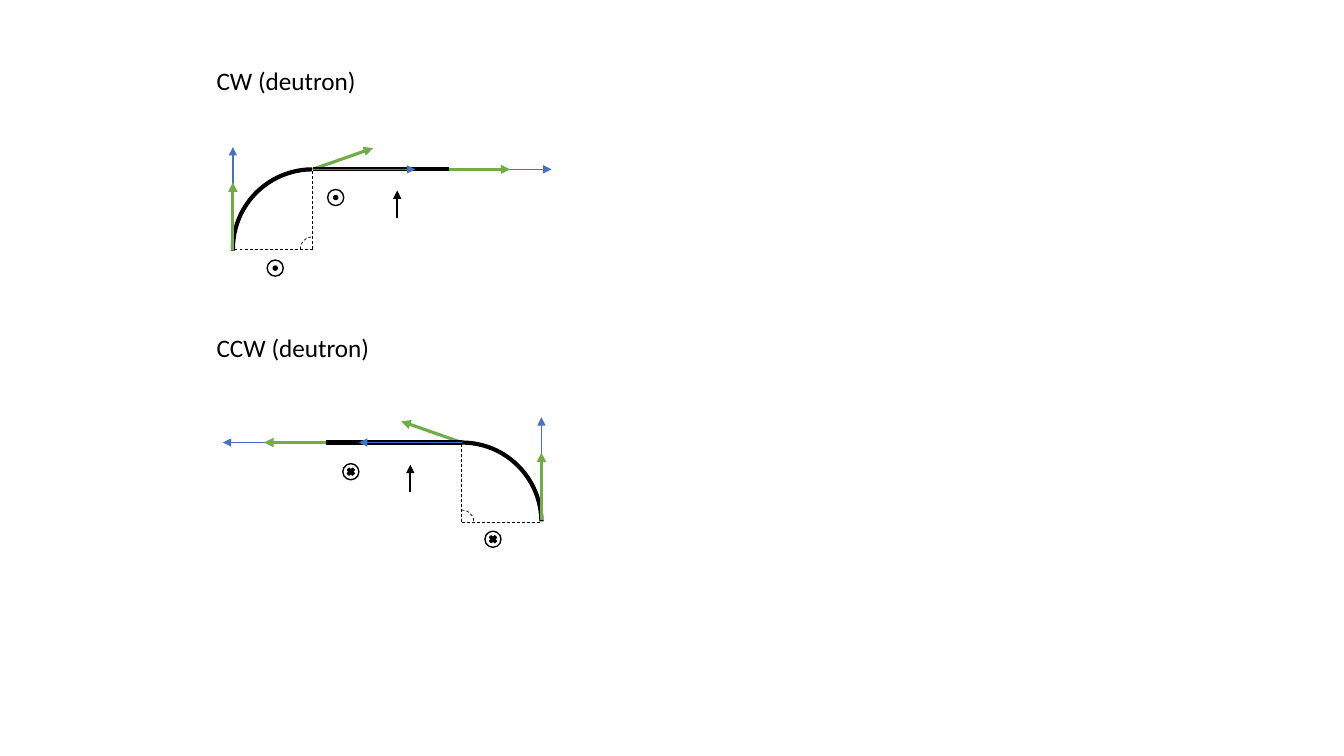
from dataclasses import dataclass

from lxml import etree
from pptx import Presentation
from pptx.dml.color import RGBColor
from pptx.enum.dml import MSO_LINE
from pptx.enum.shapes import MSO_CONNECTOR, MSO_SHAPE
from pptx.enum.text import MSO_AUTO_SIZE
from pptx.oxml.ns import qn
from pptx.util import Inches, Pt

STRAIGHT = MSO_CONNECTOR.STRAIGHT
ARC, OVAL, CROSS = MSO_SHAPE.ARC, MSO_SHAPE.OVAL, MSO_SHAPE.MATH_MULTIPLY
DASH = MSO_LINE.DASH
FIT_TEXT = MSO_AUTO_SIZE.SHAPE_TO_FIT_TEXT


@dataclass(frozen=True)
class Theme:
    black: RGBColor = RGBColor(0x00, 0x00, 0x00)
    white: RGBColor = RGBColor(0xFF, 0xFF, 0xFF)
    momentum: RGBColor = RGBColor(0x44, 0x72, 0xC4)
    spin: RGBColor = RGBColor(0x70, 0xAD, 0x47)
    font: str = "Calibri"
    label_size: float = 18
    track: float = 3
    spin_width: float = 2.25
    field_width: float = 1.5
    thin: float = 1
    guide: float = 0.5


THEME = Theme()


@dataclass(frozen=True)
class Beam:
    """Lengths in inches; points run along the beam and down from the bend exit."""
    label: str
    label_width: float
    exit_at: tuple          # bend exit, measured from the box corner
    direction: int          # 1 runs right, -1 runs left
    arrow_base: float       # depth of the arrows at the bend entry
    bend_field: tuple
    straight_field: tuple
    electric_field: tuple
    field_mark: int
    mark_size: float


CLOCKWISE = Beam("CW (deutron)", 1.6, (1.05, 1.08), 1, 0.8,
                 (-0.37, 0.98), (0.23, 0.28), (0.84, 0.48), OVAL, 0.04)
COUNTERCLOCKWISE = Beam("CCW (deutron)", 1.74, (2.53, 1.14), -1, 0.77,
                        (-0.31, 0.96), (1.1, 0.29), (0.51, 0.49), CROSS, 0.1)


def add_line(slide, start, end, color, width, arrow=False, dashed=False):
    line = slide.shapes.add_connector(
        STRAIGHT, *(Inches(value) for value in (*start, *end)))
    line.line.color.rgb = color
    line.line.width = Pt(width)
    if dashed:
        line.line.dash_style = DASH
    if arrow:
        etree.SubElement(line.line._get_or_add_ln(), qn("a:tailEnd"), type="triangle")
    etree.SubElement(line._element.spPr, qn("a:effectLst"))


def add_centred(slide, kind, center, size, width, fill=None):
    shape = slide.shapes.add_shape(
        kind, Inches(center[0] - size / 2), Inches(center[1] - size / 2),
        Inches(size), Inches(size))
    shape.shadow.inherit = False
    if fill is None:
        shape.fill.background()
    else:
        shape.fill.solid()
        shape.fill.fore_color.rgb = fill
    shape.line.color.rgb = THEME.black
    shape.line.width = Pt(width)
    return shape


def add_quarter_arc(slide, center, size, width, direction):
    arc = add_centred(slide, ARC, center, size, width)
    arc.adjustments[0], arc.adjustments[1] = 107.32, 161.69
    if direction < 0:
        arc.rotation = 90
    return arc


def add_field_symbol(slide, center, beam):
    add_centred(slide, OVAL, center, 0.16, THEME.thin, THEME.white)
    add_centred(slide, beam.field_mark, center, beam.mark_size, THEME.thin, THEME.black)


def add_label(slide, left, top, beam):
    box = slide.shapes.add_textbox(
        Inches(left), Inches(top), Inches(beam.label_width), Inches(0.4))
    box.text_frame.word_wrap = False
    box.text_frame.auto_size = FIT_TEXT
    paragraph = box.text_frame.paragraphs[0]
    paragraph.text = beam.label
    paragraph.font.name = THEME.font
    paragraph.font.size = Pt(THEME.label_size)
    paragraph.font.color.rgb = THEME.black


def draw_beam(slide, left, top, beam):
    radius, straight = 0.79, 1.35
    momentum_length, spin_length = 1.02, 0.61

    def at(along, down):
        return (left + beam.exit_at[0] + beam.direction * along,
                top + beam.exit_at[1] + down)

    def momentum(start, end):
        add_line(slide, at(*start), at(*end), THEME.momentum, THEME.thin, arrow=True)

    def spin(start, end):
        add_line(slide, at(*start), at(*end), THEME.spin, THEME.spin_width, arrow=True)

    add_label(slide, left, top, beam)

    # Bend with the arrows at its entry
    entry = (-radius, beam.arrow_base)
    bend_end, corner = at(0, 0), at(0, radius)
    momentum(entry, (-radius, beam.arrow_base - momentum_length))
    add_quarter_arc(slide, corner, 2 * radius, THEME.track, beam.direction)
    spin(entry, (-radius, beam.arrow_base - 0.67))
    spin((0, 0), (0.6, -0.21))

    # Dashed radii and their angle
    for radius_end in (bend_end, at(-radius, radius)):
        add_line(slide, corner, radius_end, THEME.black, THEME.guide, dashed=True)
    angle = add_quarter_arc(slide, corner, 0.24, THEME.guide, beam.direction)
    angle.line.dash_style = DASH

    # Straight section and the arrows at both ends
    add_line(slide, bend_end, at(straight, 0), THEME.black, THEME.track)
    for along in (0, straight):
        momentum((along, 0), (along + momentum_length, 0))
    spin((straight, 0), (straight + spin_length, 0))

    # Magnetic and electric fields
    for field in (beam.bend_field, beam.straight_field):
        add_field_symbol(slide, at(*field), beam)
    along, down = beam.electric_field
    add_line(slide, at(along, down), at(along, down - 0.27),
             THEME.black, THEME.field_width, arrow=True)


def main():
    presentation = Presentation()
    presentation.slide_width = Inches(13.33)
    presentation.slide_height = Inches(7.5)
    slide = presentation.slides.add_slide(presentation.slide_layouts[6])
    draw_beam(slide, 2.05, 0.6, CLOCKWISE)
    draw_beam(slide, 2.05, 3.25, COUNTERCLOCKWISE)
    presentation.save("out.pptx")


if __name__ == "__main__":
    main()
